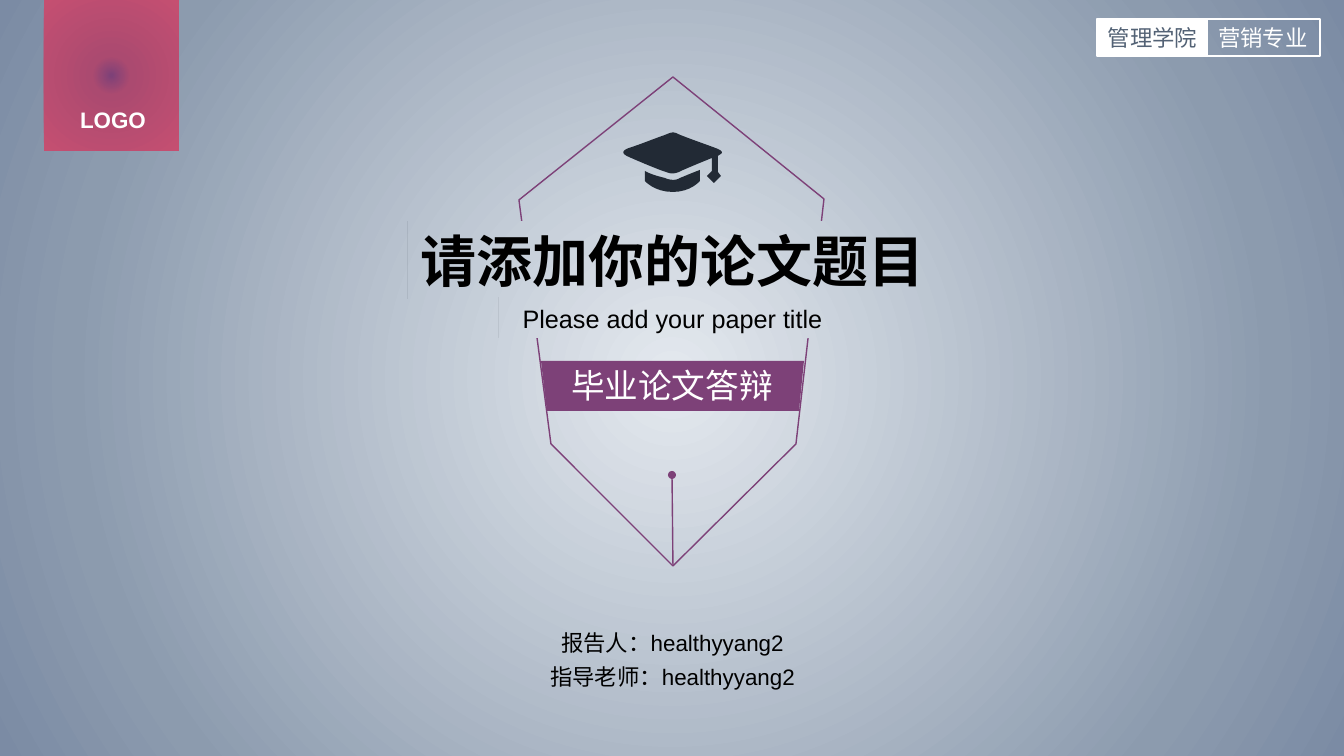
import pptx
import pptx.util
import pptx.dml.color
import pptx.enum.shapes
import pptx.enum.text
import pptx.oxml
import pptx.oxml.ns

EMU_PER_PX = 914400 / 100.8
PLUM, WHITE, BLACK, SLATE, NAVY = "7D4178", "FFFFFF", "000000", "536275", "222A35"
BACKGROUND_STOPS = [(0, "E4E9EF"), (78, "8C9BAE"), (100, "7B8BA4")]
BADGE_STOPS = [(0, PLUM), (19, "AB4A70"), (100, "C54F71")]

GEM = [(519, 200), (673, 77), (824, 199), (796, 444), (673, 566), (551, 444)]
BAND = [(541, 361), (804, 361), (799, 411), (547, 411)]
# Contours: a pair is a corner, six numbers are a Bezier curve
CAP_BOARD = [
    (718, 156), (718, 172), (721, 176), (714, 183), (707, 176), (712, 171), (712, 158),
    (690, 167, 683, 170, 679, 172), (674, 174, 671, 174, 666, 172),
    (662, 171, 640, 162, 629, 157), (622, 154, 621, 151, 629, 148),
    (639, 145, 656, 138, 665, 135), (670, 133, 673, 131, 678, 134),
    (687, 138, 708, 145, 718, 149), (726, 153, 720, 154, 718, 156)]
CAP_BASE = [
    (680, 178), (685, 176, 692, 173, 700, 170), (700, 181),
    (700, 181, 691, 192, 673, 192), (654, 192, 645, 181, 645, 181), (645, 171),
    (650, 174, 657, 176, 665, 178), (669, 180, 676, 181, 680, 178)]


def px(n):
    return pptx.util.Emu(round(n * EMU_PER_PX))


def rgb(color):
    return pptx.dml.color.RGBColor.from_string(color)


def style(sp, fill=None, line=None):
    sp.shadow.inherit = False
    if fill:
        sp.fill.solid()
        sp.fill.fore_color.rgb = rgb(fill)
    else:
        sp.fill.background()
    if line:
        sp.line.color.rgb = rgb(line)
        sp.line.width = pptx.util.Pt(1)
    else:
        sp.line.fill.background()


def radial(owner, fill, stops):
    """Give the fill inside owner a circular gradient from its centre."""
    fill.gradient()
    old = next(owner.iter(pptx.oxml.ns.qn("a:gradFill")))
    gs = "".join(f'<a:gs pos="{pos * 1000}"><a:srgbClr val="{color}"/></a:gs>'
                 for pos, color in stops)
    new = pptx.oxml.parse_xml(
        f'<a:gradFill {pptx.oxml.ns.nsdecls("a")} rotWithShape="1"><a:gsLst>{gs}</a:gsLst>'
        '<a:path path="circle"><a:fillToRect l="50000" t="50000" r="50000" b="50000"/>'
        '</a:path></a:gradFill>')
    old.getparent().replace(old, new)


def add_preset(s, kind, box, fill=None, line=None):
    shape_type = getattr(pptx.enum.shapes.MSO_SHAPE, kind)
    sp = s.shapes.add_shape(shape_type, *map(px, box))
    style(sp, fill, line)
    return sp


def write(sp, text, size, color, bold=False, wrap=False):
    tf = sp.text_frame
    tf.word_wrap = wrap
    tf.auto_size = pptx.enum.text.MSO_AUTO_SIZE.NONE
    tf.vertical_anchor = pptx.enum.text.MSO_ANCHOR.MIDDLE
    p = tf.paragraphs[0]
    p.text = text
    p.alignment = pptx.enum.text.PP_ALIGN.CENTER
    p.font.name = "Arial"
    p.font.size = pptx.util.Pt(size)
    p.font.bold = bold
    p.font.color.rgb = rgb(color)
    ea = pptx.oxml.parse_xml(
        f'<a:ea {pptx.oxml.ns.nsdecls("a")} typeface="Noto Sans CJK SC"/>')
    p.font._element.append(ea)


def add_text(s, box, text, size, color, **options):
    write(s.shapes.add_textbox(*map(px, box)), text, size, color, **options)


def show_background(sp):
    """Fill the shape with the slide background, hiding what lies beneath."""
    sp._element.set("useBgFill", "1")


def flatten(contour, steps=8):
    """Turn corners and Bezier curves into a list of EMU points."""
    points = []
    for segment in contour:
        if len(segment) == 2:
            points.append(segment)
            continue
        x0, y0 = points[-1]
        x1, y1, x2, y2, x3, y3 = segment
        for i in range(1, steps + 1):
            t = i / steps
            a, b, c, d = (1 - t) ** 3, 3 * t * (1 - t) ** 2, 3 * t * t * (1 - t), t ** 3
            points.append((a * x0 + b * x1 + c * x2 + d * x3,
                           a * y0 + b * y1 + c * y2 + d * y3))
    return [(px(x), px(y)) for x, y in points]


def add_outline(s, contours, fill=None, line=None):
    first, *others = map(flatten, contours)
    builder = s.shapes.build_freeform(*first[0])
    builder.add_line_segments(first[1:], close=True)
    for points in others:
        builder.move_to(*points[0])
        builder.add_line_segments(points[1:], close=True)
    style(builder.convert_to_shape(), fill, line)


def add_line(s, start, end, color):
    line = s.shapes.add_connector(
        pptx.enum.shapes.MSO_CONNECTOR.STRAIGHT, *map(px, start + end))
    line.line.color.rgb = rgb(color)
    line.line.width = pptx.util.Pt(1)
    line._element.spPr.append(
        pptx.oxml.parse_xml(f'<a:effectLst {pptx.oxml.ns.nsdecls("a")}/>'))


def place_title(s, box, text):
    title = s.shapes.title
    title.left, title.top, title.width, title.height = map(px, box)
    write(title, text, 40, BLACK, bold=True)
    show_background(title)
    title._element.getparent().append(title._element)  # bring to front


def main():
    prs = pptx.Presentation()
    prs.slide_width, prs.slide_height = px(1344), px(756)
    s = prs.slides.add_slide(prs.slide_layouts[5])
    radial(s._element, s.background.fill, BACKGROUND_STOPS)

    badge = add_preset(s, "RECTANGLE", (44, 0, 135, 151))
    radial(badge._element, badge.fill, BADGE_STOPS)
    add_text(s, (70, 101, 86, 37), "LOGO", 16, WHITE, bold=True)

    add_text(s, (544, 624, 257, 37), "报告人：healthyyang2", 16, BLACK)
    add_text(s, (533, 658, 279, 37), "指导老师：healthyyang2", 16, BLACK)

    add_text(s, (1199, 19, 128, 37), "营销专业", 16, WHITE, wrap=True)
    school = add_preset(s, "RECTANGLE", (1097, 19, 111, 37), fill=WHITE)
    write(school, "管理学院", 16, SLATE)
    add_preset(s, "RECTANGLE", (1097, 19, 223, 37), line=WHITE)

    add_outline(s, [GEM], line=PLUM)
    add_outline(s, [BAND], fill=PLUM)
    add_text(s, (560, 360, 224, 50), "毕业论文答辩", 24, WHITE)

    place_title(s, (408, 221, 529, 78), "请添加你的论文题目")
    subtitle = s.shapes.add_textbox(*map(px, (499, 298, 347, 40)))
    write(subtitle, "Please add your paper title", 18, BLACK)
    subtitle._element.spPr.remove(
        subtitle._element.spPr.find(pptx.oxml.ns.qn("a:noFill")))
    show_background(subtitle)

    add_line(s, (673, 566), (672, 473), PLUM)
    add_preset(s, "OVAL", (668, 471, 8, 8), fill=PLUM)
    add_outline(s, [CAP_BOARD, CAP_BASE], fill=NAVY)
    prs.save("out.pptx")


if __name__ == "__main__":
    main()
